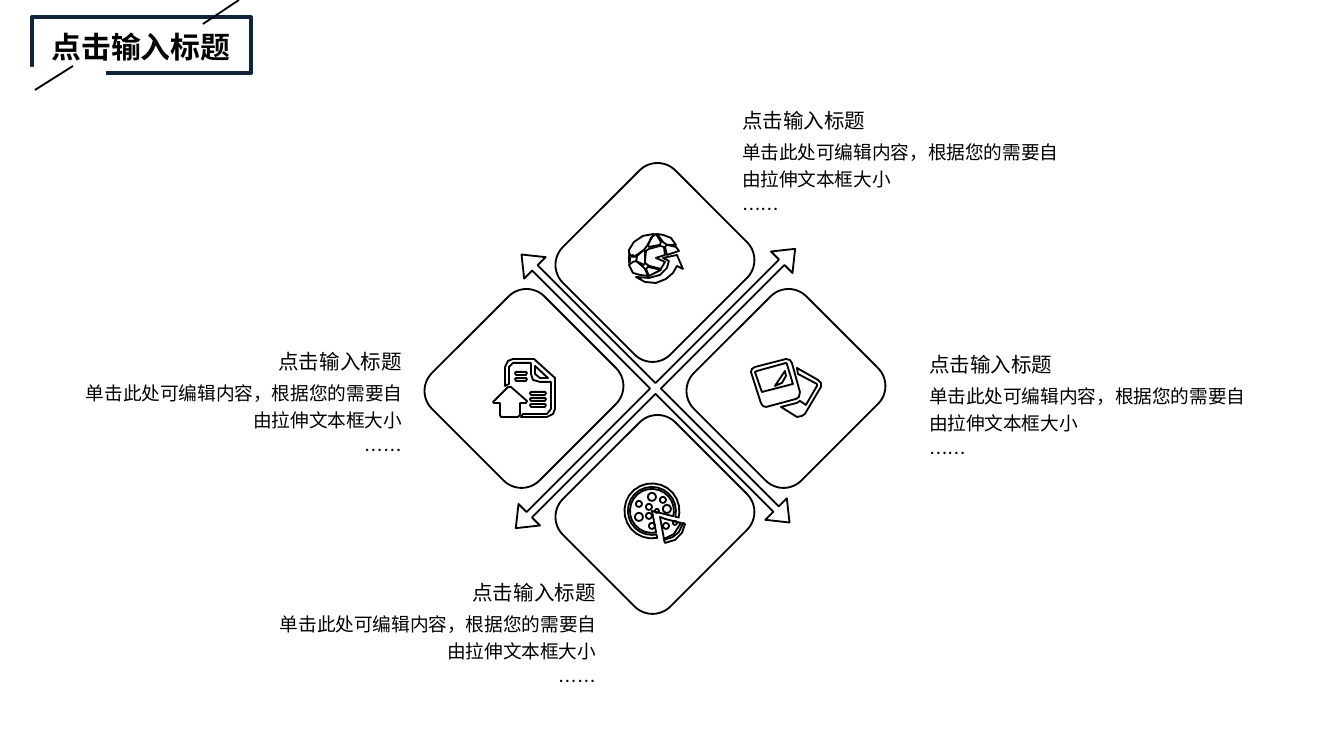
from dataclasses import dataclass
from math import cos, radians, sin

from lxml import etree
from pptx import Presentation
from pptx.dml.color import RGBColor
from pptx.enum.shapes import MSO_CONNECTOR, MSO_SHAPE
from pptx.enum.text import MSO_ANCHOR, MSO_AUTO_SIZE, PP_ALIGN
from pptx.oxml.ns import qn
from pptx.util import Pt

RECTANGLE = MSO_SHAPE.RECTANGLE
ROUNDED = MSO_SHAPE.ROUNDED_RECTANGLE
QUAD_ARROW = MSO_SHAPE.QUAD_ARROW
STRAIGHT = MSO_CONNECTOR.STRAIGHT
LEFT, CENTER, RIGHT = PP_ALIGN.LEFT, PP_ALIGN.CENTER, PP_ALIGN.RIGHT
TOP = MSO_ANCHOR.TOP
GROW = MSO_AUTO_SIZE.SHAPE_TO_FIT_TEXT

EMU_PER_PX = 9144000 / 1344
FINE_STEPS = 10
BLACK, NAVY, WHITE = "000000", "0F243E", "FFFFFF"
HEADING = "点击输入标题"
BODY = "单击此处可编辑内容，根据您的需要自由拉伸文本框大小"
BODY_FONT = "Noto Sans CJK SC"

Contour = list[tuple[float, float]]


@dataclass
class Box:
    left: int
    top: int
    width: int
    height: int


@dataclass
class Caption:
    left: int
    top: int
    alignment: PP_ALIGN


@dataclass
class Stroke:
    start: tuple[int, int]
    end: tuple[int, int]


def px(length: float) -> int:
    return round(length * EMU_PER_PX)


def color(value: str) -> RGBColor:
    return RGBColor.from_string(value)


def arc(x: int, y: int, radius: float, start: int = 0, end: int = 360) -> Contour:
    step = 15 if radius > 10 else 30
    step = step if end > start else -step
    angles = [*range(start, end, step), end]
    return [(x + radius * cos(radians(a)), y + radius * sin(radians(a))) for a in angles]


def bar(left: int, top: int, width: int) -> Contour:
    right, bottom = left + width, top + 3
    return [(left + 1, top), (right - 1, top), (right, top + 1), (right - 1, bottom),
            (left + 1, bottom), (left, top + 1)]


GLOBE = [
    [(676, 247), (667, 245), (665, 247), (667, 255), (679, 251)],
    [(648, 246), (649, 247), (660, 245), (661, 242), (656, 234), (651, 238)],
    [(665, 255), (664, 247), (660, 246), (649, 249), (646, 251), (645, 263), (649, 266),
     (661, 269), (665, 262), (656, 258)],
    [(646, 269), (649, 276), (661, 270), (648, 267)],
    [(644, 250), (636, 257), (637, 258), (636, 261), (644, 265), (645, 263), (645, 251)],
    [(630, 258), (629, 255), (629, 263), (630, 261)],
    [(663, 242), (667, 245), (676, 245), (671, 238), (663, 235), (657, 234)],
    [(645, 269), (642, 266), (636, 261), (633, 262), (629, 265), (633, 273), (640, 275),
     (648, 276)],
    [(633, 255), (634, 257), (644, 250), (647, 246), (654, 234), (643, 236), (634, 242),
     (629, 250), (629, 253), (632, 257)],
]
GLOBE_ARROW = [
    [(636, 277), (645, 282), (656, 283), (666, 279), (673, 273), (677, 266), (683, 269),
     (677, 255), (663, 258), (669, 261), (667, 268), (660, 275), (649, 278)],
]
DOCUMENT = [
    [(505, 386), (505, 367), (508, 361), (513, 359), (534, 359), (555, 378), (555, 409),
     (553, 414), (547, 417), (521, 417), (523, 414), (547, 414), (551, 409), (551, 382),
     (540, 382), (533, 380), (531, 374), (531, 363), (513, 363), (509, 367), (509, 384)],
    [(540, 378), (535, 374), (535, 366), (548, 378)],
    *[bar(515, top, 12) for top in (372, 378)],
    *[bar(530, top, 16) for top in (392, 398, 404)],
]
UPLOAD_ARROW = [
    [(493, 402), (494, 403), (500, 403), (500, 415), (501, 417), (518, 417), (520, 415),
     (520, 403), (526, 403), (527, 401), (511, 387), (508, 387)],
]
PHOTO_GLINT = [[(782, 383), (786, 376), (785, 371), (775, 386)]]
BACK_PHOTO = [
    [(818, 380), (797, 368), (798, 374), (817, 384), (817, 386), (806, 405), (800, 401),
     (797, 403), (781, 407), (797, 417), (802, 416), (805, 414), (821, 387), (821, 383)],
]
FRONT_PHOTO = [
    [(800, 392), (792, 363), (790, 360), (786, 359), (755, 367), (752, 369), (751, 372),
     (761, 403), (763, 406), (766, 407), (796, 399), (799, 397)],
    [(762, 392), (755, 372), (757, 371), (786, 363), (787, 364), (793, 384)],
]
PIZZA_CRUST = [arc(652, 511, 27.5, 79, 374) + arc(652, 511, 24, 374, 79)]
PIZZA = [
    arc(652, 511, 22, 79, 374) + [(652, 511)],
    *[arc(x, y, radius) for x, y, radius in (
        (639, 504, 3), (639, 517, 4), (649, 507, 3), (649, 516, 3), (652, 526, 3),
        (652, 497, 4), (663, 500, 3), (667, 509, 4), (657, 511, 2))],
]
SLICE_CRUST = [
    [(683, 523), (679, 532), (673, 537), (664, 540), (665, 543), (675, 540), (682, 533),
     (685, 524)],
]
SLICE = [
    [(681, 523), (665, 519), (660, 517), (664, 539), (674, 534)],
    arc(675, 523, 2), arc(666, 526, 3),
]
ICON_PARTS = [GLOBE, GLOBE_ARROW, DOCUMENT, UPLOAD_ARROW, PHOTO_GLINT, BACK_PHOTO,
              FRONT_PHOTO, PIZZA_CRUST, PIZZA, SLICE_CRUST, SLICE]

DIAMONDS = [Box(579 + 131 * x, 309 + 126 * y, 152, 159)
            for x, y in ((0, -1), (-1, 0), (1, 0), (0, 1))]
CAPTIONS = [Caption(742, 103, LEFT), Caption(263, 575, RIGHT),
            Caption(69, 344, RIGHT), Caption(929, 347, LEFT)]
STROKES = [Stroke((239, 0), (203, 24)), Stroke((73, 66), (35, 90))]


def place(shape, box: Box) -> None:
    shape.left, shape.top = px(box.left), px(box.top)
    shape.width, shape.height = px(box.width), px(box.height)


def style(shape, line: str | None = BLACK, width: float = 1, fill: str | None = None) -> None:
    shape.shadow.inherit = False
    if fill:
        shape.fill.solid()
        shape.fill.fore_color.rgb = color(fill)
    else:
        shape.fill.background()
    if line:
        shape.line.color.rgb = color(line)
        shape.line.width = Pt(width)
    else:
        shape.line.fill.background()


def add_preset(slide, kind: MSO_SHAPE, box: Box, rotation: int = 0, **look):
    shape = slide.shapes.add_shape(
        kind, px(box.left), px(box.top), px(box.width), px(box.height))
    shape.rotation = rotation
    style(shape, **look)
    return shape


def add_outline(slide, contours: list[Contour]) -> None:
    fine = [[(x * FINE_STEPS, y * FINE_STEPS) for x, y in contour] for contour in contours]
    builder = slide.shapes.build_freeform(*fine[0][0], scale=EMU_PER_PX / FINE_STEPS)
    builder.add_line_segments(fine[0][1:], close=True)
    for contour in fine[1:]:
        builder.move_to(*contour[0])
        builder.add_line_segments(contour[1:], close=True)
    style(builder.convert_to_shape())


def add_stroke(slide, stroke: Stroke) -> None:
    connector = slide.shapes.add_connector(
        STRAIGHT, *map(px, stroke.start), *map(px, stroke.end))
    connector.line.color.rgb = color(BLACK)
    connector.line.width = Pt(1)
    etree.SubElement(connector.element.spPr, qn("a:effectLst"))


def write(paragraph, text: str, *, size: float, font: str, bold: bool = False,
          alignment: PP_ALIGN = LEFT) -> None:
    paragraph.alignment = alignment
    run = paragraph.add_run()
    run.text = text
    run.font.size = Pt(size)
    run.font.bold = bold
    run.font.color.rgb = color(BLACK)
    run.font.name = font
    etree.SubElement(run.font._element, qn("a:ea"), typeface=font)


def add_caption(slide, caption: Caption) -> None:
    shape = slide.shapes.add_textbox(px(caption.left), px(caption.top), px(333), px(118))
    frame = shape.text_frame
    frame.word_wrap = True
    frame.auto_size = GROW
    frame.margin_left = frame.margin_top = frame.margin_right = frame.margin_bottom = 0
    for index, (text, size) in enumerate(((HEADING, 11), (BODY, 10), ("……", 10))):
        paragraph = frame.add_paragraph() if index else frame.paragraphs[0]
        paragraph.line_spacing = 1.2
        paragraph.space_before = Pt(size * 0.2)
        write(paragraph, text, size=size, font=BODY_FONT, alignment=caption.alignment)


def add_title(slide) -> None:
    title = slide.shapes.title
    place(title, Box(-7, 22, 296, 50))
    frame = title.text_frame
    frame.word_wrap = True
    frame.auto_size = GROW
    frame.vertical_anchor = TOP
    write(frame.paragraphs[0], HEADING, size=16, font="Arial", bold=True, alignment=CENTER)


def main() -> None:
    presentation = Presentation()
    presentation.slide_width, presentation.slide_height = px(1344), px(756)
    slide = presentation.slides.add_slide(presentation.slide_layouts[5])
    add_title(slide)
    add_preset(slide, RECTANGLE, Box(32, 17, 219, 56), line=NAVY, width=2)
    add_preset(slide, RECTANGLE, Box(0, 67, 106, 10), line=None, fill=WHITE)
    for stroke in STROKES:
        add_stroke(slide, stroke)
    arrows = add_preset(slide, QUAD_ARROW, Box(466, 191, 379, 395), rotation=45)
    for index, value in enumerate((0.02, 0.04, 0.05)):
        arrows.adjustments[index] = value
    for diamond in DIAMONDS:
        add_preset(slide, ROUNDED, diamond, rotation=45)
    for part in ICON_PARTS:
        add_outline(slide, part)
    for caption in CAPTIONS:
        add_caption(slide, caption)
    presentation.save("out.pptx")


if __name__ == "__main__":
    main()
